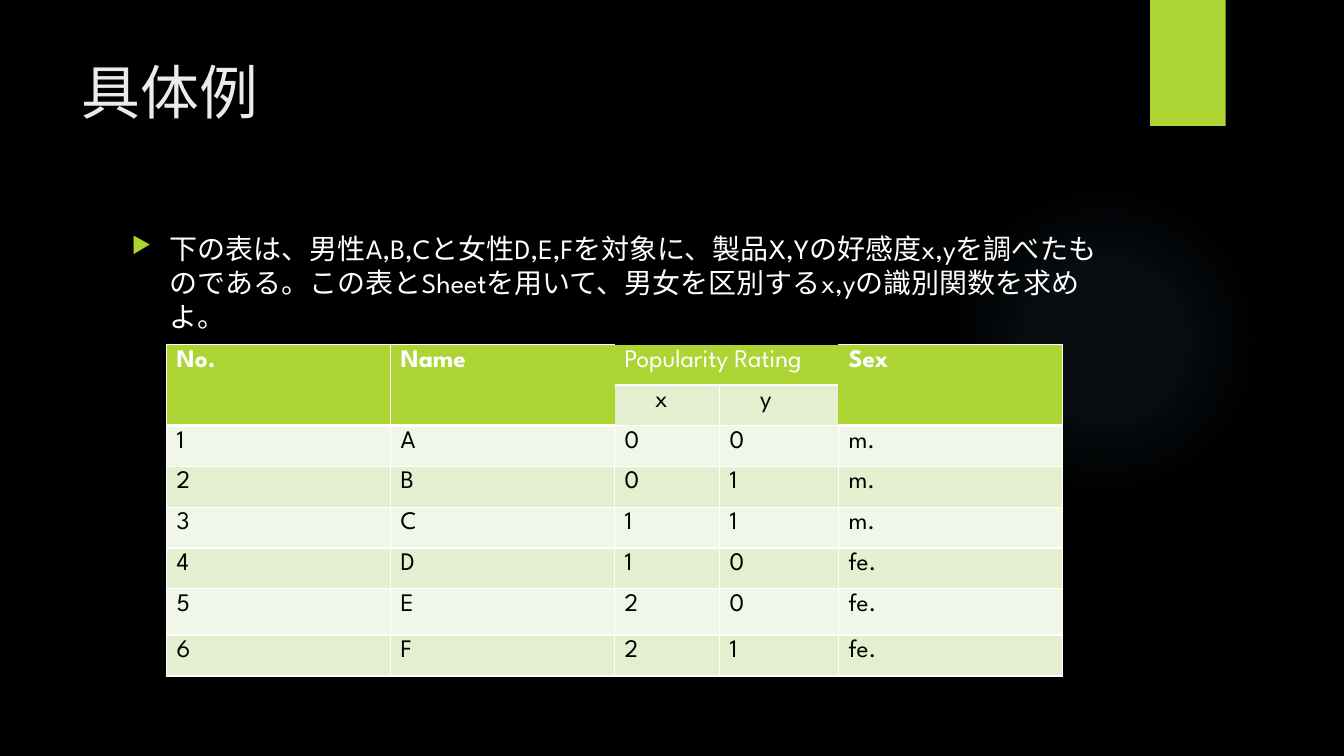
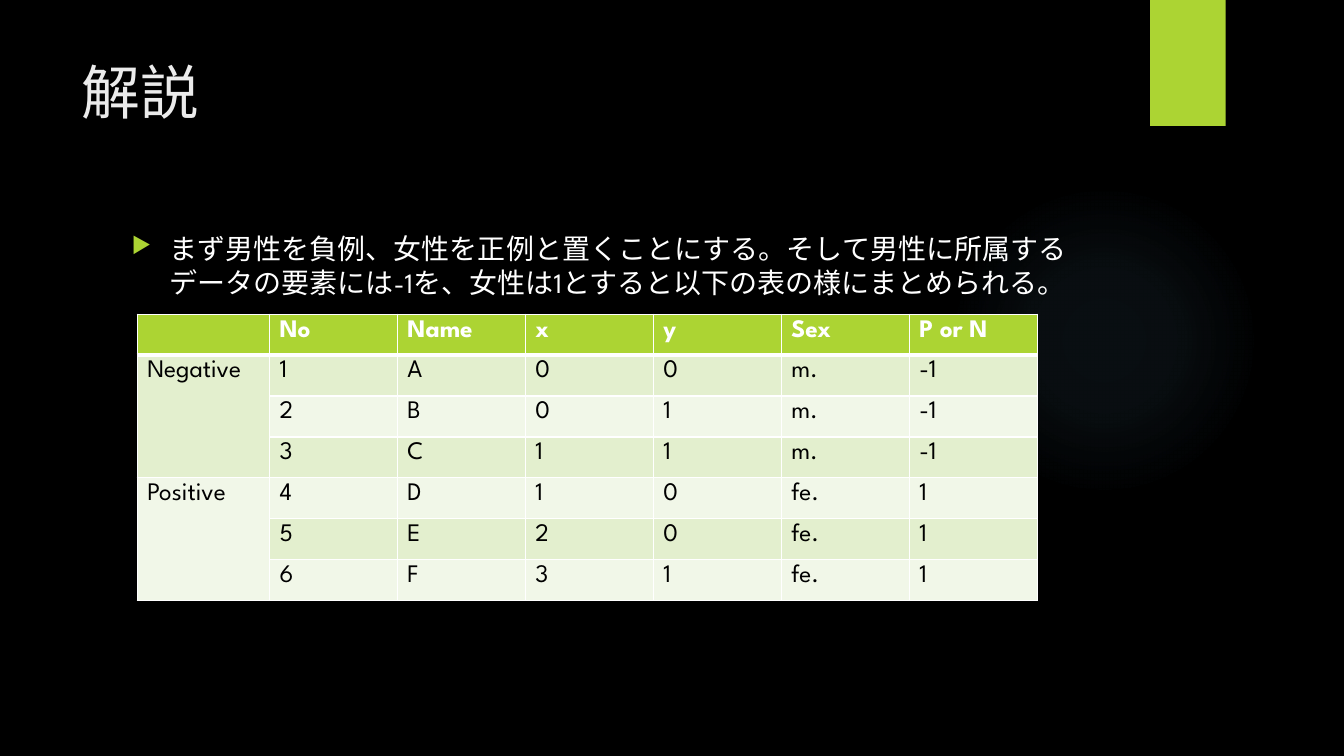
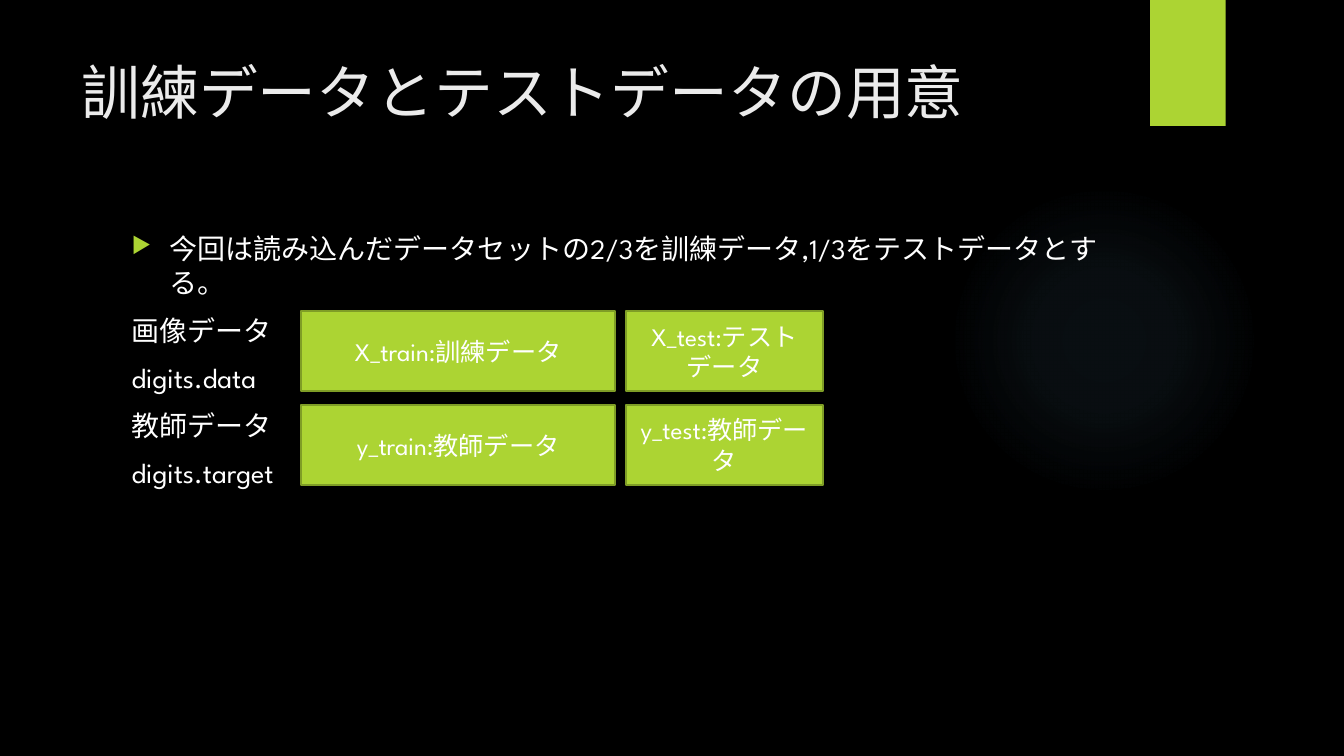
from dataclasses import dataclass

from pptx import Presentation
from pptx.dml.color import RGBColor
from pptx.enum.shapes import MSO_SHAPE
from pptx.enum.text import MSO_ANCHOR, PP_ALIGN
from pptx.oxml import parse_xml
from pptx.oxml.ns import nsdecls
from pptx.util import Pt

RECTANGLE = MSO_SHAPE.RECTANGLE
OVAL = MSO_SHAPE.OVAL
TOP = MSO_ANCHOR.TOP
MIDDLE = MSO_ANCHOR.MIDDLE
LEFT = PP_ALIGN.LEFT
CENTER = PP_ALIGN.CENTER


@dataclass(frozen=True)
class Theme:
    font: str = "League Spartan"
    background: str = "000000"
    accent: str = "ACD433"
    outline: str = "7F9D26"
    glow: str = "7AC4F0"
    title: str = "EBEBEB"
    light: str = "FFFFFF"
    dark: str = "000000"
    odd_band: str = "E3EFCE"
    even_band: str = "F1F7E8"
    title_size: int = 42
    body_size: int = 20
    label_size: int = 18


theme = Theme()


def style_text(text_frame, size, color, bold=False):
    for paragraph in text_frame.paragraphs:
        for run in paragraph.runs:
            run.font.name = theme.font
            run.font.size = Pt(size)
            run.font.bold = bold
            run.font.color.rgb = RGBColor.from_string(color)


def set_borders(cell, widths):
    properties = cell._tc.get_or_add_tcPr()
    sides = [side for side in "LRTB" if side in widths]
    for index, side in enumerate(sides):
        width = widths[side]
        paint = f'<a:solidFill><a:srgbClr val="{theme.light}"/></a:solidFill>' if width else "<a:noFill/>"
        properties.insert(index, parse_xml(
            f'<a:ln{side} {nsdecls("a")} w="{Pt(width)}">{paint}</a:ln{side}>'))


presentation = Presentation()
presentation.slide_width = Pt(960)
presentation.slide_height = Pt(540)
background = presentation.slide_master.background.fill
background.solid()
background.fore_color.rgb = RGBColor.from_string(theme.background)

pages = [
    ("具体例", [
        "下の表は、男性A,B,Cと女性D,E,Fを対象に、製品X,Yの好感度x,yを調べたものである。"
        "この表とSheetを用いて、男女を区別するx,yの識別関数を求めよ。"]),
    ("解説", [
        "まず男性を負例、女性を正例と置くことにする。そして男性に所属するデータの要素には-1を、"
        "女性は1とすると以下の表の様にまとめられる。"]),
    ("訓練データとテストデータの用意", [
        "今回は読み込んだデータセットの2/3を訓練データ,1/3をテストデータとする。",
        "画像データ", "digits.data", "教師データ", "digits.target"]),
]

glow_stops = "".join(
    f'<a:gs pos="{position * 1000}"><a:srgbClr val="{theme.glow}">'
    f'<a:alpha val="{alpha * 1000}"/></a:srgbClr></a:gs>'
    for position, alpha in [(0, 7), (36, 6), (69, 0)])

slides = []
for heading, lines in pages:
    slide = presentation.slides.add_slide(presentation.slide_layouts[5])
    slides.append(slide)

    glow = slide.shapes.add_shape(OVAL, Pt(677.5), Pt(132), Pt(222), Pt(222))
    glow.shadow.inherit = False
    glow.line.fill.background()
    glow._element.spPr.insert(2, parse_xml(
        f'<a:gradFill {nsdecls("a")}><a:gsLst>{glow_stops}</a:gsLst><a:path path="circle">'
        '<a:fillToRect l="50000" t="50000" r="50000" b="50000"/></a:path></a:gradFill>'))

    bar = slide.shapes.add_shape(RECTANGLE, Pt(821.5), Pt(0), Pt(54), Pt(90))
    bar.shadow.inherit = False
    bar.fill.solid()
    bar.fill.fore_color.rgb = RGBColor.from_string(theme.accent)
    bar.line.fill.background()

    title = slide.shapes.title
    title.left, title.top, title.width, title.height = Pt(51), Pt(36), Pt(741), Pt(110)
    title.text_frame.text = heading
    title.text_frame.vertical_anchor = TOP
    title.text_frame.paragraphs[0].alignment = LEFT
    style_text(title.text_frame, theme.title_size, theme.title)

    body = slide.shapes.add_textbox(Pt(87), Pt(162), Pt(704), Pt(330.5))
    body.text_frame.word_wrap = True
    body.text_frame.text = "\n".join(lines)
    style_text(body.text_frame, theme.body_size, theme.light)
    for paragraph in body.text_frame.paragraphs:
        paragraph.space_before = Pt(10)
    bullet = body.text_frame.paragraphs[0]._p.get_or_add_pPr()
    bullet.set("marL", str(Pt(27)))
    bullet.set("indent", str(Pt(-27)))
    for element in [
        f'<a:buClr {nsdecls("a")}><a:srgbClr val="{theme.accent}"/></a:buClr>',
        f'<a:buSzPct {nsdecls("a")} val="80000"/>',
        f'<a:buChar {nsdecls("a")} char="▶"/>',
    ]:
        bullet.append(parse_xml(element))

rating_table = dict(
    left=119, top=246.2,
    widths=[160, 160, 75, 85, 160],
    heights=[23.8, 23.8, 29.2, 29.2, 29.2, 29.2, 33, 29.2],
    header_rows=2,
    rows=[
        ["No.", "Name", "Popularity Rating", "", "Sex"],
        ["", "", "x", "y", ""],
        ["1", "A", "0", "0", "m."],
        ["2", "B", "0", "1", "m."],
        ["3", "C", "1", "1", "m."],
        ["4", "D", "1", "0", "fe."],
        ["5", "E", "2", "0", "fe."],
        ["6", "F", "2", "1", "fe."],
    ],
    merges=[((0, 0), (1, 0)), ((0, 1), (1, 1)), ((0, 2), (0, 3)), ((0, 4), (1, 4))],
    borders={
        (0, 1): dict(R=0), (1, 1): dict(R=0),
        (0, 2): dict(L=0, R=0, T=0, B=1), (0, 3): dict(L=0, R=0, T=0, B=1),
        (0, 4): dict(L=0), (1, 4): dict(L=0),
        (1, 2): dict(L=0, B=0), (1, 3): dict(R=0, B=0),
    },
    plain_headers=[(0, 2)],
    indented=[(1, 2), (1, 3)],
)
label_table = dict(
    left=98, top=224.5,
    widths=[94.5] + [91.4] * 6,
    heights=[29.2] * 7,
    header_rows=1,
    rows=[
        ["", "No", "Name", "x", "y", "Sex", "P or N"],
        ["Negative", "1", "A", "0", "0", "m.", "-1"],
        ["", "2", "B", "0", "1", "m.", "-1"],
        ["", "3", "C", "1", "1", "m.", "-1"],
        ["Positive", "4", "D", "1", "0", "fe.", "1"],
        ["", "5", "E", "2", "0", "fe.", "1"],
        ["", "6", "F", "3", "1", "fe.", "1"],
    ],
    merges=[((1, 0), (3, 0)), ((4, 0), (6, 0))],
    borders={},
    plain_headers=[],
    indented=[],
)

for slide, content in zip(slides, [rating_table, label_table]):
    widths, heights = content["widths"], content["heights"]
    table = slide.shapes.add_table(
        len(heights), len(widths), Pt(content["left"]), Pt(content["top"]),
        Pt(sum(widths)), Pt(sum(heights))).table
    for column, width in zip(table.columns, widths):
        column.width = Pt(width)
    for row, height in zip(table.rows, heights):
        row.height = Pt(height)
    for first, last in content["merges"]:
        table.cell(*first).merge(table.cell(*last))

    for row_index, values in enumerate(content["rows"]):
        is_header = row_index == 0
        band = theme.odd_band if row_index % 2 else theme.even_band
        for column_index, value in enumerate(values):
            position = (row_index, column_index)
            cell = table.cell(*position)
            cell.text_frame.text = value
            style_text(cell.text_frame, theme.label_size,
                       theme.light if is_header else theme.dark,
                       is_header and position not in content["plain_headers"])
            if position in content["indented"]:
                cell.margin_left = Pt(29)
            cell.fill.solid()
            cell.fill.fore_color.rgb = RGBColor.from_string(theme.accent if is_header else band)
            sides = dict(L=1, R=1, B=3 if row_index < content["header_rows"] else 1)
            if is_header:
                sides["T"] = 1
            sides.update(content["borders"].get(position, {}))
            set_borders(cell, sides)

data_columns = [
    (215.3, 224, ["X_train:訓練データ", "y_train:教師データ"]),
    (447, 141, ["X_test:テストデータ", "y_test:教師データ"]),
]
for left, width, labels in data_columns:
    for index, label in enumerate(labels):
        box = slides[2].shapes.add_shape(
            RECTANGLE, Pt(left), Pt(222.3 + 67 * index), Pt(width), Pt(57))
        box.shadow.inherit = False
        box.fill.solid()
        box.fill.fore_color.rgb = RGBColor.from_string(theme.accent)
        box.line.color.rgb = RGBColor.from_string(theme.outline)
        box.line.width = Pt(1.5)
        box.text_frame.text = label
        box.text_frame.vertical_anchor = MIDDLE
        box.text_frame.paragraphs[0].alignment = CENTER
        style_text(box.text_frame, theme.label_size, theme.light)

presentation.save("out.pptx")
